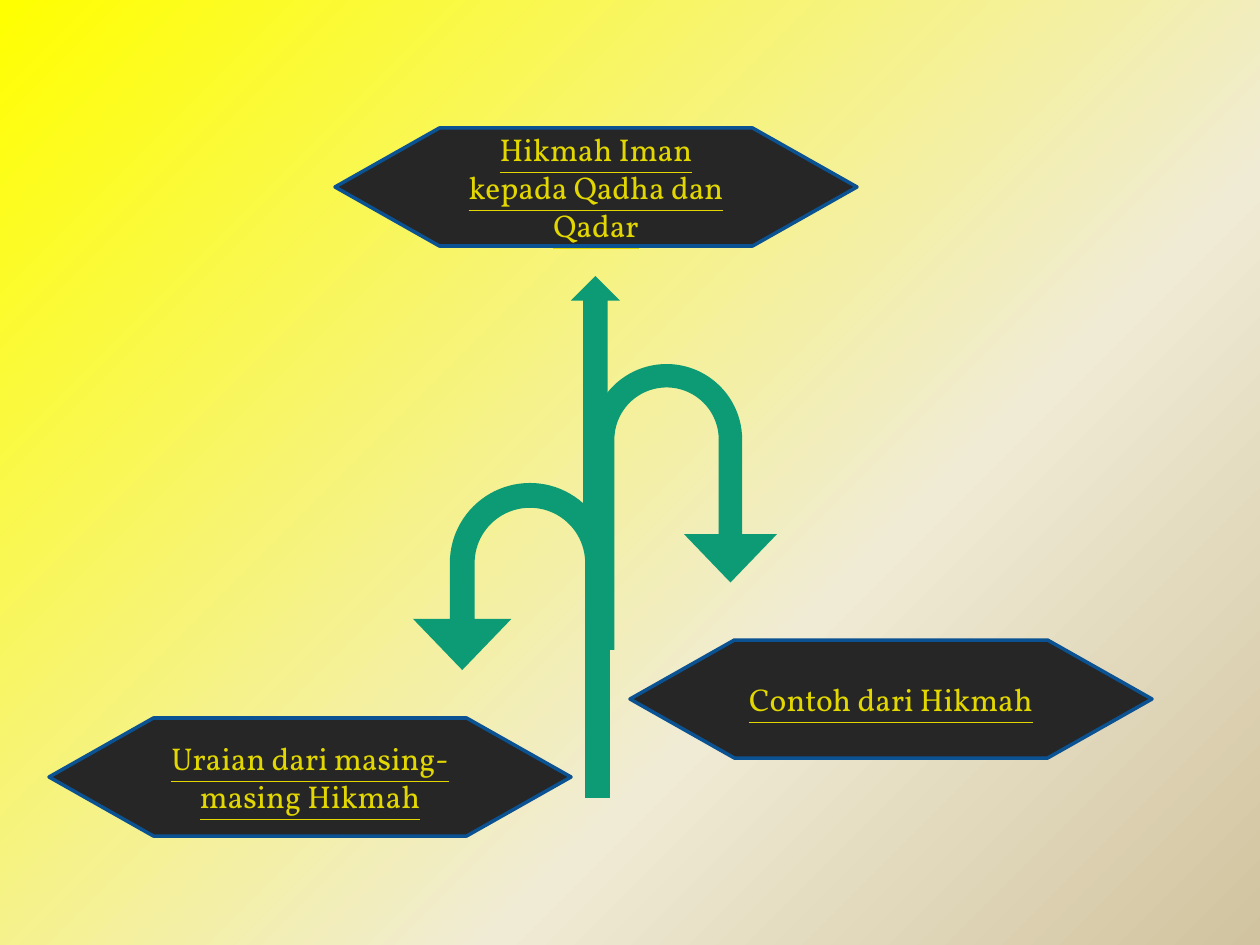
import copy
from dataclasses import dataclass

import pptx
import pptx.dml.color
import pptx.enum.shapes
import pptx.enum.text
import pptx.oxml.ns
import pptx.util

EMU_PER_PX = 914400 / 126
SHAPES = pptx.enum.shapes.MSO_SHAPE


@dataclass(frozen=True)
class Theme:
    background: tuple = ((0, "FFFF00"), (0.65, "F0EBD5"), (1, "D1C39F"))
    background_angle: int = 315  # counter-clockwise: top left to bottom right
    arrow: str = "0C9B74"
    label_fill: str = "262626"
    label_line: str = "0B5292"
    label_text: str = "E2D700"
    font: str = "Vollkorn"
    text_size: int = 18
    line_width: int = 2


THEME = Theme()


def px(length):
    return pptx.util.Emu(round(length * EMU_PER_PX))


def rgb(value):
    return pptx.dml.color.RGBColor.from_string(value)


def add_filled_shape(page, kind, box, color):
    shape = page.shapes.add_shape(kind, *map(px, box))
    shape.shadow.inherit = False
    shape.fill.solid()
    shape.fill.fore_color.rgb = rgb(color)
    shape.line.fill.background()
    return shape


def paint_background(page):
    fill = page.background.fill
    fill.gradient()
    fill.gradient_angle = THEME.background_angle
    # A new gradient has two stops; add the third
    stop_list = page.element.find(".//" + pptx.oxml.ns.qn("a:gsLst"))
    stop_list.append(copy.deepcopy(stop_list[-1]))
    for stop, (position, color) in zip(fill.gradient_stops, THEME.background):
        stop.position = position
        stop.color.rgb = rgb(color)


def add_turn_arrow(page, box, head_end, mirrored=False):
    arrow = add_filled_shape(page, SHAPES.U_TURN_ARROW, box, THEME.arrow)
    for index, value in enumerate((0.126, 0.25, 0.26, 0.438, head_end)):
        arrow.adjustments[index] = value
    if mirrored:
        arrow.element.spPr.find(pptx.oxml.ns.qn("a:xfrm")).set("flipH", "1")


def add_branching_arrows(page, box):
    left, top, width, height = box
    # Right branch, left branch, then the stem pointing up
    add_turn_arrow(page, (left + 178, top + 88, 186, 286), 0.764)
    add_turn_arrow(page, (left, top + 207, 197, height - 207), 0.594, mirrored=True)
    add_filled_shape(page, SHAPES.UP_ARROW, (left + 158, top, 49, 256), THEME.arrow)


def add_label(page, box, text):
    label = add_filled_shape(page, SHAPES.FLOWCHART_PREPARATION, box, THEME.label_fill)
    label.line.color.rgb = rgb(THEME.label_line)
    label.line.width = pptx.util.Pt(THEME.line_width)
    frame = label.text_frame
    frame.word_wrap = True
    frame.vertical_anchor = pptx.enum.text.MSO_ANCHOR.MIDDLE
    frame.text = text
    para = frame.paragraphs[0]
    para.alignment = pptx.enum.text.PP_ALIGN.CENTER
    font = para.runs[0].font
    font.name = THEME.font
    font.size = pptx.util.Pt(THEME.text_size)
    font.underline = True
    font.color.rgb = rgb(THEME.label_text)


def build_topic_page(deck):
    page = deck.slides.add_slide(deck.slide_layouts[6])
    paint_background(page)
    add_branching_arrows(page, (413, 276, 364, 522))
    # Labels share one size
    for left, top, text in (
        (335, 128, "Hikmah Iman kepada Qadha dan Qadar"),
        (630, 640, "Contoh dari Hikmah"),
        (49, 718, "Uraian dari masing-masing Hikmah"),
    ):
        add_label(page, (left, top, 522, 118), text)


def main():
    deck = pptx.Presentation()
    deck.slide_width, deck.slide_height = px(1260), px(945)
    build_topic_page(deck)
    deck.save("out.pptx")


if __name__ == "__main__":
    main()
